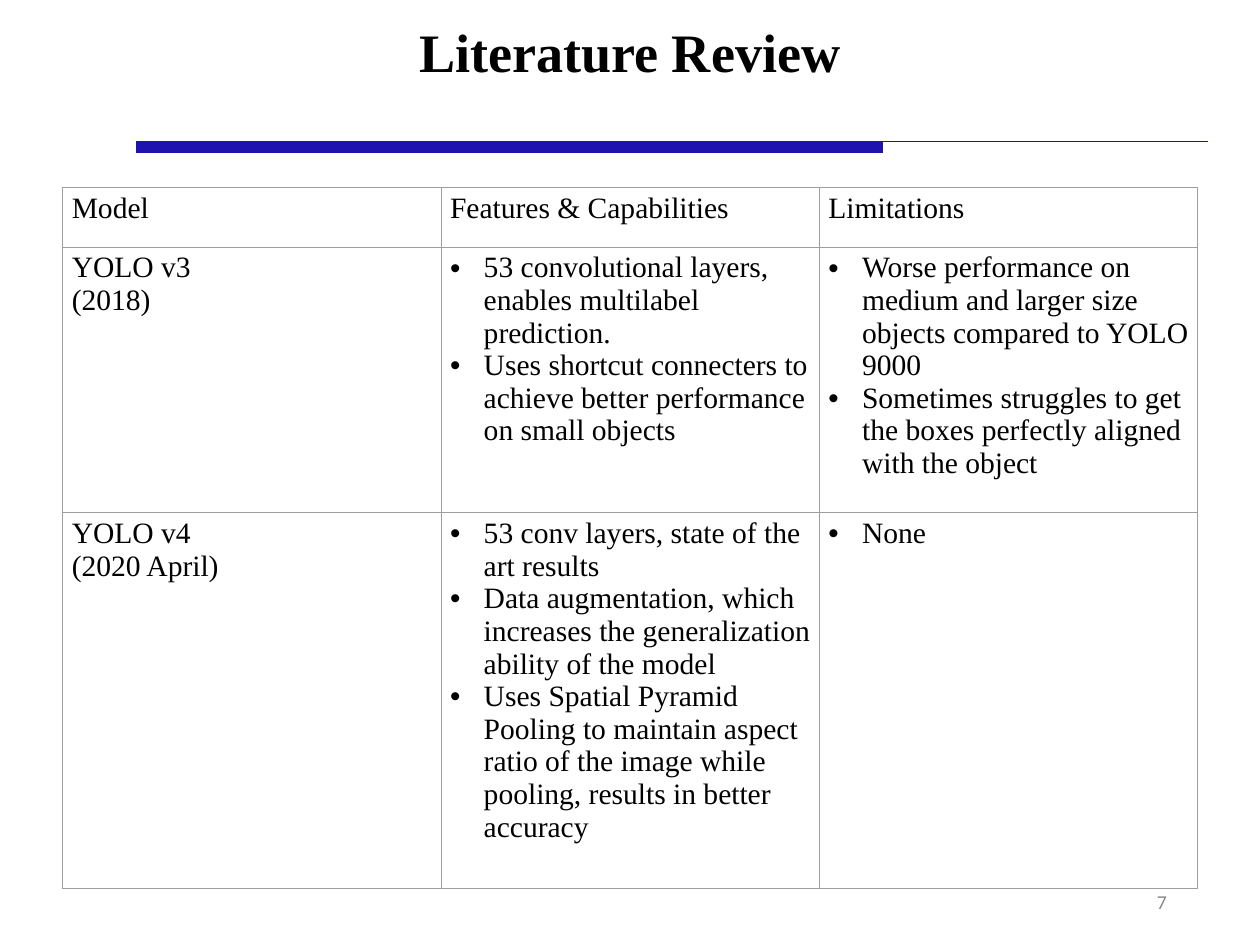
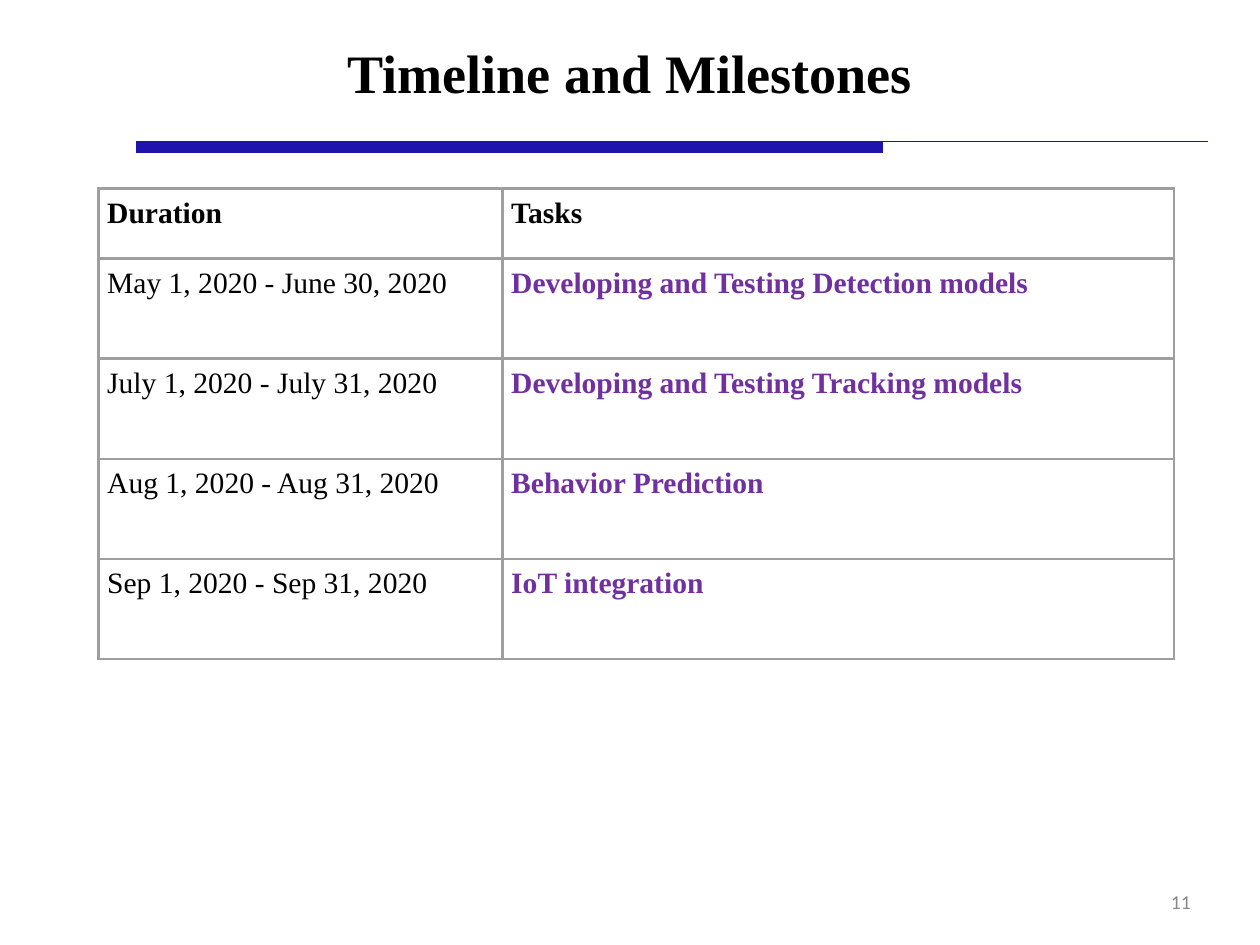
from lxml.etree import SubElement
from pptx import Presentation
from pptx.dml.color import RGBColor
from pptx.enum.shapes import MSO_CONNECTOR
from pptx.enum.text import MSO_ANCHOR, MSO_AUTO_SIZE, PP_ALIGN
from pptx.oxml.ns import qn
from pptx.util import Inches, Pt

WIDTH, HEIGHT = 14.22, 10.67
BLACK, BLUE, GRAY, PURPLE, BORDER = "000000", "1E13AD", "888888", "7030A0", "9E9E9E"
SERIF, SANS = "Times New Roman", "Calibri"
PADDING = 0.07
HANGING = 0.38
TITLE_ONLY = 5
RULES = [(1.78, 13.63, 1.6, 0.75), (1.54, 9.96, 1.66, 10)]  # left, right, y, weight

PLAIN = {}
BULLETED = {"bullet": True}
BOLD = {"bold": True}
TASK = {"bold": True, "color": PURPLE}

SLIDES = [
    {
        "title": "Literature Review", "title_top": 0.02,
        "number": "7", "number_box": (12.97, 9.97, 0.27, 0.41),
        "corner": (0.71, 2.12), "columns": [4.27] * 3, "rows": [0.67, 3, 4.24],
        "border": 0.75, "cell_padding": 0.05,
        "header_format": [PLAIN] * 3, "body_format": [PLAIN, BULLETED, BULLETED],
        "cells": [
            [["Model"], ["Features & Capabilities"], ["Limitations"]],
            [["YOLO v3", "(2018)"],
             ["53 convolutional layers, enables multilabel prediction.",
              "Uses shortcut connecters to achieve better performance on small objects"],
             ["Worse performance on medium and larger size objects compared to YOLO 9000",
              "Sometimes struggles to get the boxes perfectly aligned with the object"]],
            [["YOLO v4", "(2020 April)"],
             ["53 conv layers, state of the art results",
              "Data augmentation, which increases the generalization ability of the model",
              "Uses Spatial Pyramid Pooling to maintain aspect ratio of the image "
              "while pooling, results in better accuracy"],
             ["None"]],
        ],
    },
    {
        "title": "Timeline and Milestones", "title_top": 0.26,
        "number": "11", "number_box": (12.97, 9.98, 0.54, 0.41),
        "corner": (1.11, 2.13), "columns": [4.56, 7.58], "rows": [0.79] + [1.13] * 4,
        "border": 2.25, "cell_padding": 0.1,
        "header_format": [BOLD] * 2, "body_format": [PLAIN, TASK],
        "cells": [
            [["Duration"], ["Tasks"]],
            [["May 1, 2020 - June 30, 2020"], ["Developing and Testing Detection models"]],
            [["July 1, 2020 - July 31, 2020"], ["Developing and Testing Tracking models"]],
            [["Aug 1, 2020 - Aug 31, 2020"], ["Behavior Prediction"]],
            [["Sep 1, 2020 - Sep 31, 2020"], ["IoT integration"]],
        ],
    },
]


def rgb(value):
    return RGBColor.from_string(value)


def write(frame, lines, size=24, font=SERIF, color=BLACK, bold=False,
          align=PP_ALIGN.LEFT, bullet=False):
    for index, line in enumerate(lines):
        para = frame.paragraphs[0] if index == 0 else frame.add_paragraph()
        para.alignment = align
        span = para.add_run()
        span.text = line
        span.font.size, span.font.name, span.font.bold = Pt(size), font, bold
        span.font.color.rgb = rgb(color)
        if bullet:
            properties = para._p.get_or_add_pPr()
            properties.set("marL", str(Inches(HANGING)))
            properties.set("indent", str(-Inches(HANGING)))
            SubElement(properties, qn("a:buFont"), typeface="Arial")
            SubElement(properties, qn("a:buChar"), char="•")


def prepare_frame(box):
    frame = box.text_frame
    frame.margin_left = frame.margin_right = Inches(PADDING)
    frame.margin_top = frame.margin_bottom = Inches(PADDING)
    frame.vertical_anchor = MSO_ANCHOR.MIDDLE
    frame.auto_size = MSO_AUTO_SIZE.NONE
    frame.word_wrap = True
    return frame


def add_rules(page):
    for left, right, y, weight in RULES:
        rule = page.shapes.add_connector(
            MSO_CONNECTOR.STRAIGHT, Inches(left), Inches(y), Inches(right), Inches(y))
        rule.line.color.rgb = rgb(BLUE)
        rule.line.width = Pt(weight)
        SubElement(rule._element.spPr, qn("a:effectLst"))


def set_borders(cell, weight):
    """Draw all four edges; they must precede the fill in the cell properties."""
    properties = cell._tc.get_or_add_tcPr()
    for edge in ("lnL", "lnR", "lnT", "lnB"):
        line = SubElement(properties, qn(f"a:{edge}"), w=str(Pt(weight)))
        fill = SubElement(line, qn("a:solidFill"))
        SubElement(fill, qn("a:srgbClr"), val=BORDER)


def add_grid(page, content):
    columns, rows = content["columns"], content["rows"]
    left, top = content["corner"]
    table = page.shapes.add_table(
        len(rows), len(columns), Inches(left), Inches(top),
        Inches(sum(columns)), Inches(sum(rows))).table
    table.first_row = table.horz_banding = False
    for column, width in zip(table.columns, columns):
        column.width = Inches(width)
    for index, (row, height) in enumerate(zip(table.rows, rows)):
        row.height = Inches(height)
        formats = content["body_format" if index else "header_format"]
        for cell, lines, style in zip(row.cells, content["cells"][index], formats):
            cell.margin_left = cell.margin_right = Inches(0.1)
            cell.margin_top = cell.margin_bottom = Inches(content["cell_padding"])
            set_borders(cell, content["border"])
            cell.fill.background()
            write(cell.text_frame, lines, **style)


def add_page(deck, content):
    page = deck.slides.add_slide(deck.slide_layouts[TITLE_ONLY])
    title = page.shapes.title
    title.left, title.top = Inches(0.05 * WIDTH), Inches(content["title_top"])
    title.width, title.height = Inches(0.9 * WIDTH), Inches(1.11)
    write(prepare_frame(title), [content["title"]], size=44, bold=True,
          align=PP_ALIGN.CENTER)
    add_rules(page)
    number = page.shapes.add_textbox(*map(Inches, content["number_box"]))
    write(prepare_frame(number), [content["number"]], size=16, font=SANS, color=GRAY,
          align=PP_ALIGN.RIGHT)
    add_grid(page, content)


def main():
    deck = Presentation()
    deck.slide_width, deck.slide_height = Inches(WIDTH), Inches(HEIGHT)
    for content in SLIDES:
        add_page(deck, content)
    deck.save("out.pptx")


if __name__ == "__main__":
    main()
